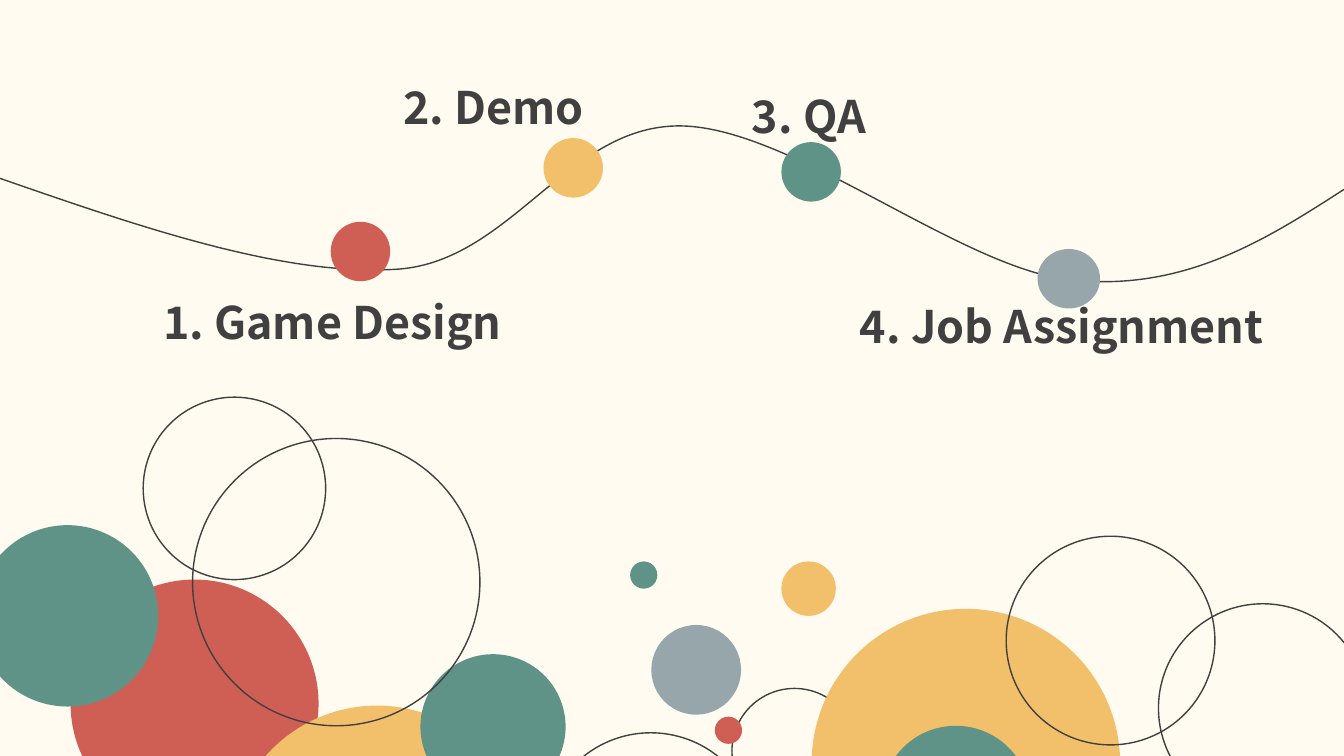
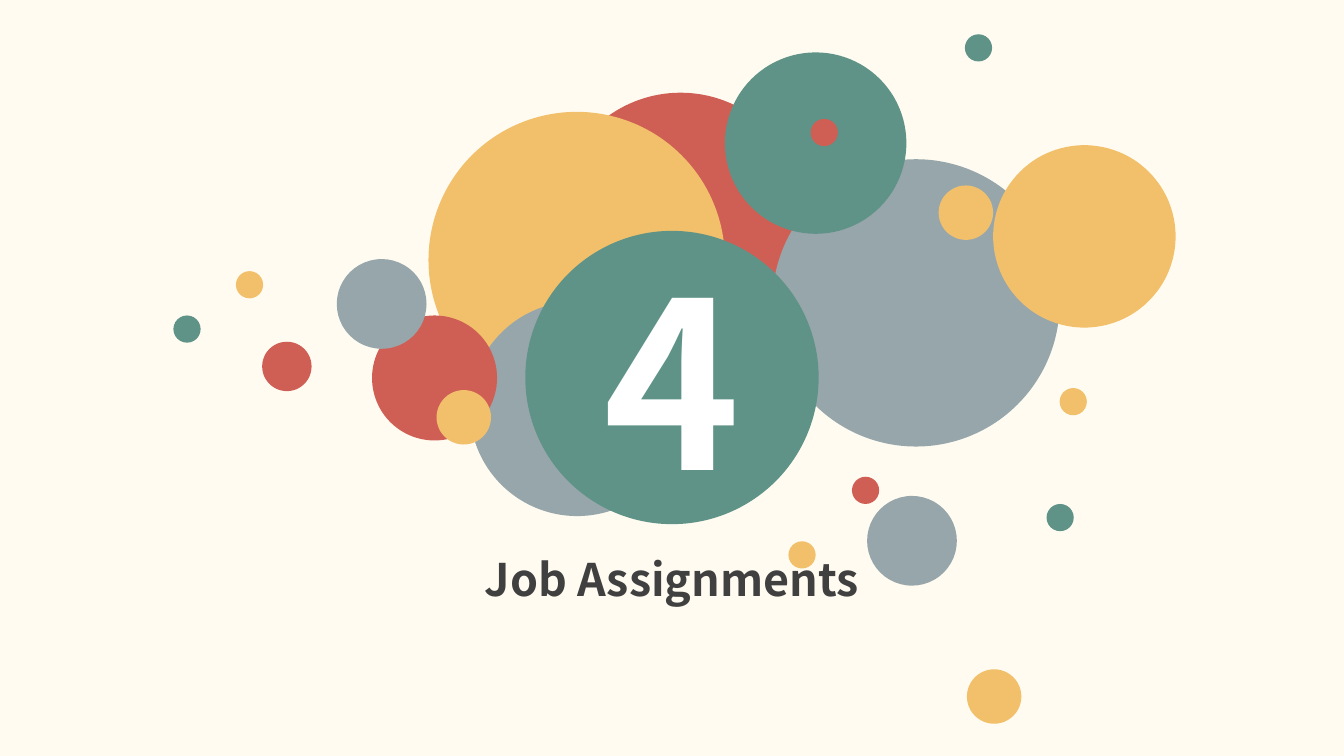
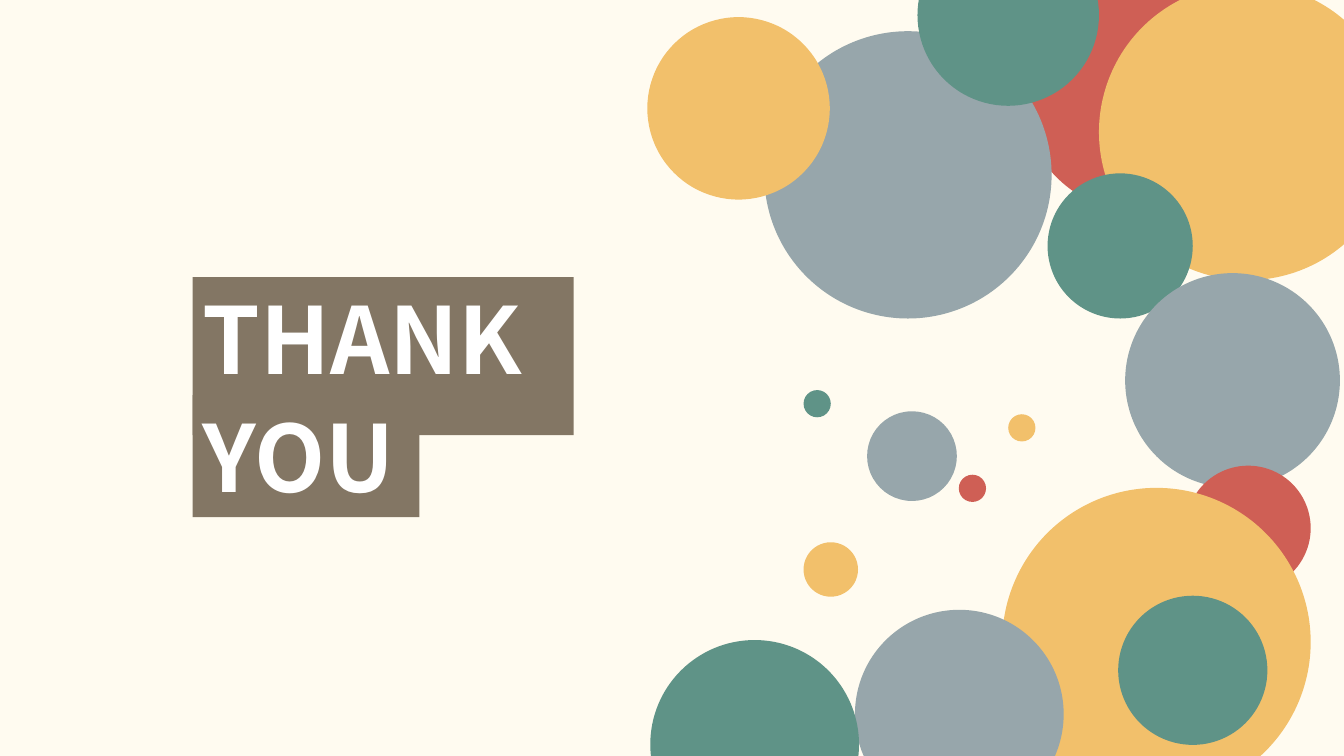
"""Build three slides decorated with coloured circles."""
from dataclasses import dataclass

from lxml import etree
from pptx import Presentation
from pptx import util as u
from pptx.dml.color import RGBColor
from pptx.enum import shapes, text
from pptx.oxml.ns import qn

PX = u.Inches(1) // 100
FONT = "Noto Sans CJK SC"
CREAM, INK, WHITE, BROWN = "FFFBF0", "404040", "FFFFFF", "837664"
RED, YELLOW, GREEN, GREY = "CF5F55", "F2C06B", "5F9387", "97A6AB"
TITLE_ONLY, BLANK = 5, 6
HEADING_SIZE, NUMBER_SIZE, THANKS_SIZE = 32, 166, 66


@dataclass(frozen=True)
class Circle:
    """A circle in px; without a fill it is an outline."""
    left: int
    top: int
    size: int
    fill: str | None = None
    height: int | None = None


@dataclass(frozen=True)
class Label:
    """A line of text and its box in px."""
    wording: str
    left: int
    top: int
    width: int
    height: int = 64


STEP_BUBBLES = [
    Circle(70, 575, 246, RED), Circle(227, 700, 294, YELLOW),
    Circle(417, 649, 144, GREEN), Circle(539, 727, 213),
    Circle(191, 435, 285), Circle(-23, 521, 180, GREEN),
    Circle(726, 683, 124), Circle(805, 604, 306, YELLOW),
    Circle(874, 720, 148, GREEN), Circle(998, 532, 207),
    Circle(1149, 599, 207), Circle(646, 620, 89, GREY),
    Circle(709, 711, 27, RED), Circle(625, 557, 27, GREEN),
    Circle(775, 557, 54, YELLOW), Circle(142, 394, 181),
]
STEP_DOTS = [
    Circle(328, 220, 59, RED), Circle(539, 137, 59, YELLOW),
    Circle(775, 141, 59, GREEN), Circle(1029, 247, 62, GREY, 59),
]
STEP_LABELS = [
    Label("1. Game Design", 152, 287, 390), Label("2. Demo", 390, 74, 208),
    Label("3. QA", 736, 83, 311), Label("4. Job Assignment", 843, 291, 451),
]
ROAD_START = (0, 177)
ROAD_CURVES = [
    (141, 226), (283, 275), (396, 267),
    (508, 258), (564, 123), (676, 125),
    (787, 127), (955, 268), (1064, 278),
    (1174, 289), (1254, 239), (1333, 188),
]
SECTION_BUBBLES = [
    Circle(552, 92, 246, RED), Circle(425, 111, 294, YELLOW),
    Circle(466, 299, 213, GREY), Circle(766, 158, 285, GREY),
    Circle(719, 52, 180, GREEN), Circle(369, 313, 124, RED),
    Circle(860, 492, 89, GREY), Circle(845, 473, 27, RED),
    Circle(782, 537, 27, YELLOW), Circle(1038, 500, 27, GREEN),
    Circle(959, 664, 54, YELLOW), Circle(985, 144, 181, YELLOW),
    Circle(334, 257, 89, GREY), Circle(260, 339, 49, RED),
    Circle(234, 269, 27, YELLOW), Circle(172, 313, 27, GREEN),
    Circle(433, 387, 54, YELLOW), Circle(804, 118, 27, RED),
    Circle(1051, 385, 27, YELLOW), Circle(957, 34, 27, GREEN),
    Circle(931, 184, 54, YELLOW),
]
SECTION_DISC = Circle(521, 229, 291, GREEN)
SECTION_TITLE = Label("Job Assignments", 365, 542, 603)
CLOSING_BUBBLES = [
    Circle(1012, -34, 246, RED), Circle(1090, -16, 294, YELLOW),
    Circle(1039, 172, 144, GREEN), Circle(1116, 271, 213, GREY),
    Circle(758, 31, 285, GREY), Circle(910, -75, 180, GREEN),
    Circle(1176, 462, 124, RED), Circle(994, 484, 306, YELLOW),
    Circle(1109, 591, 148, GREEN), Circle(848, 605, 207, GREY),
    Circle(645, 635, 207, GREEN), Circle(860, 408, 89, GREY),
    Circle(951, 471, 27, RED), Circle(1000, 411, 27, YELLOW),
    Circle(797, 387, 27, GREEN), Circle(797, 538, 54, YELLOW),
    Circle(642, 17, 181, YELLOW),
]
THANK = Label("THANK", 191, 275, 378, 121)
YOU = Label("YOU", 191, 392, 225, 121)


def rgb(colour: str) -> RGBColor:
    """Turn a hex string into a colour."""
    return RGBColor.from_string(colour)


def paint(shape, fill: str | None, line: str | None = None) -> None:
    """Set fill and line, and drop the shadow."""
    shape.shadow.inherit = False
    if fill:
        shape.fill.solid()
        shape.fill.fore_color.rgb = rgb(fill)
    else:
        shape.fill.background()
    if line:
        shape.line.color.rgb = rgb(line)
        shape.line.width = u.Pt(1)
    else:
        shape.line.fill.background()


def write(shape, wording: str, size: int, colour: str, align=text.PP_ALIGN.LEFT,
          anchor=text.MSO_ANCHOR.TOP, fit=text.MSO_AUTO_SIZE.SHAPE_TO_FIT_TEXT) -> None:
    """Put one bold line of text into a shape."""
    frame = shape.text_frame
    frame.text = wording
    frame.word_wrap = True
    frame.auto_size = fit
    frame.vertical_anchor = anchor
    paragraph = frame.paragraphs[0]
    paragraph.alignment = align
    font = paragraph.font
    font.name, font.size, font.bold = FONT, u.Pt(size), True
    font.color.rgb = rgb(colour)


def box(label: Label) -> tuple[int, int, int, int]:
    """Give a label's box in EMU."""
    return label.left * PX, label.top * PX, label.width * PX, label.height * PX


def draw_circle(parent, circle: Circle):
    """Draw a filled or outlined circle."""
    oval = parent.add_shape(
        shapes.MSO_SHAPE.OVAL, circle.left * PX, circle.top * PX,
        circle.size * PX, (circle.height or circle.size) * PX)
    paint(oval, circle.fill, None if circle.fill else INK)
    return oval


def draw_circles(parent, circles: list[Circle]) -> None:
    """Draw circles from back to front."""
    for circle in circles:
        draw_circle(parent, circle)


def place_title(slide, label: Label):
    """Move the title to its box, in front of what is drawn so far."""
    title = slide.shapes.title
    title.left, title.top, title.width, title.height = box(label)
    slide.shapes._spTree.append(title._element)
    return title


def draw_road(slide) -> None:
    """Draw the wavy line as Bézier curves."""
    builder = slide.shapes.build_freeform(*ROAD_START, scale=PX)
    builder.add_line_segments(ROAD_CURVES, close=False)
    road = builder.convert_to_shape()
    paint(road, None, INK)
    segments = list(road._element.iter(qn("a:lnTo")))
    for first in range(0, len(segments), 3):
        trio = segments[first:first + 3]
        curve = etree.Element(qn("a:cubicBezTo"))
        trio[0].addprevious(curve)
        for segment in trio:
            curve.append(segment[0])
            segment.getparent().remove(segment)


def build_steps(prs) -> None:
    """Build the slide with the four steps."""
    slide = prs.slides.add_slide(prs.slide_layouts[BLANK])
    draw_circles(slide.shapes, STEP_BUBBLES)
    draw_road(slide)
    draw_circles(slide.shapes, STEP_DOTS)
    for label in STEP_LABELS:
        write(slide.shapes.add_textbox(*box(label)), label.wording, HEADING_SIZE, INK)


def build_section(prs) -> None:
    """Build the section slide with its large number."""
    slide = prs.slides.add_slide(prs.slide_layouts[TITLE_ONLY])
    draw_circles(slide.shapes, SECTION_BUBBLES)
    disc = draw_circle(slide.shapes, SECTION_DISC)
    write(disc, "4", NUMBER_SIZE, WHITE, text.PP_ALIGN.CENTER,
          text.MSO_ANCHOR.MIDDLE, text.MSO_AUTO_SIZE.NONE)
    title = place_title(slide, SECTION_TITLE)
    write(title, SECTION_TITLE.wording, HEADING_SIZE, INK, text.PP_ALIGN.CENTER)


def build_closing(prs) -> None:
    """Build the closing slide."""
    slide = prs.slides.add_slide(prs.slide_layouts[TITLE_ONLY])
    draw_circles(slide.shapes.add_group_shape().shapes, CLOSING_BUBBLES)
    thank = place_title(slide, THANK)
    you = slide.shapes.add_shape(shapes.MSO_SHAPE.RECTANGLE, *box(YOU))
    for banner, label in ((thank, THANK), (you, YOU)):
        paint(banner, BROWN)
        write(banner, label.wording, THANKS_SIZE, WHITE)


def main() -> None:
    """Build and save the presentation."""
    prs = Presentation()
    prs.slide_width, prs.slide_height = 1333 * PX, 750 * PX
    backdrop = prs.slide_master.background.fill
    backdrop.solid()
    backdrop.fore_color.rgb = rgb(CREAM)
    build_steps(prs)
    build_section(prs)
    build_closing(prs)
    prs.save("out.pptx")


if __name__ == "__main__":
    main()
